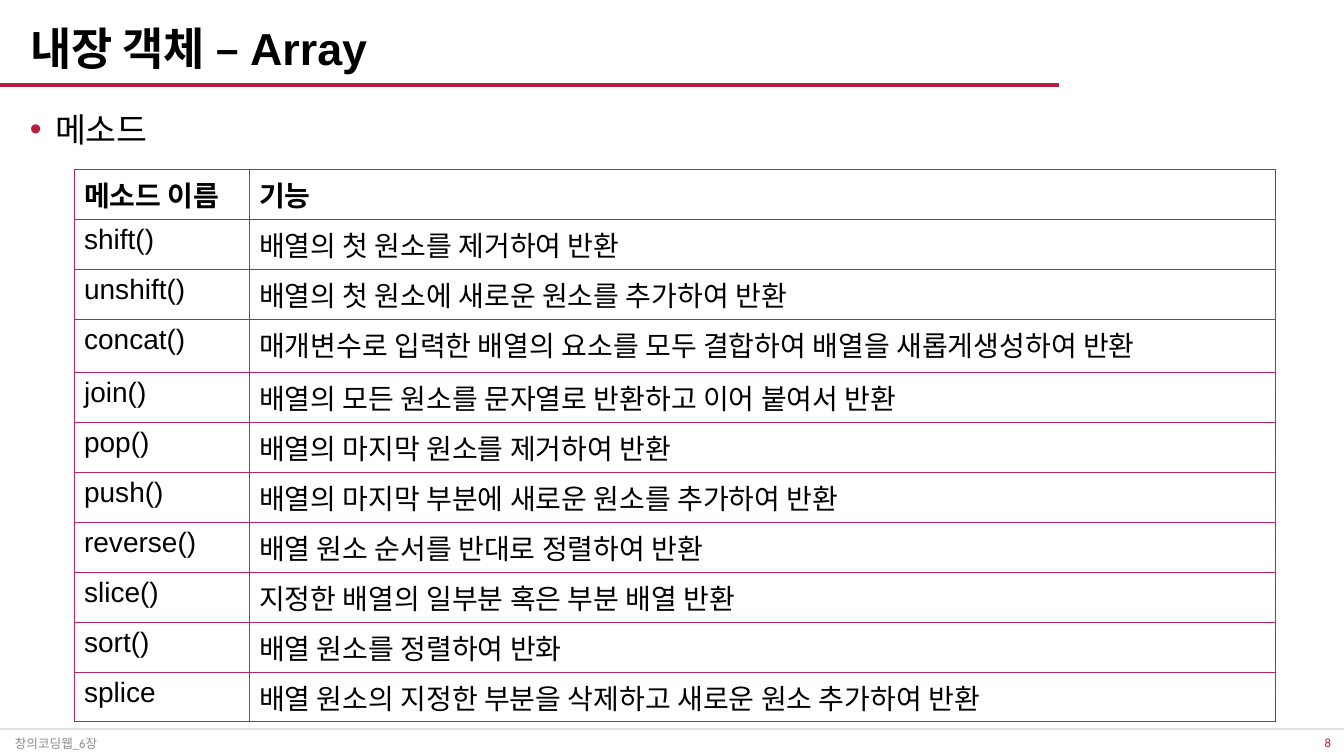
import pptx
import pptx.util
import pptx.dml.color
import pptx.enum.shapes
import pptx.enum.text
import pptx.oxml
import pptx.oxml.ns
import lxml.etree

SCALE = 914400 / 100.8
COLORS = {"black": "000000", "rule": "000001", "red": "B71E42", "gray": "8C8C8C", "border": "BA2169"}
ANCHOR = pptx.enum.text.MSO_ANCHOR
ALIGN = pptx.enum.text.PP_ALIGN
METHODS = [
    ("메소드 이름", "기능"),
    ("shift()", "배열의 첫 원소를 제거하여 반환"),
    ("unshift()", "배열의 첫 원소에 새로운 원소를 추가하여 반환"),
    ("concat()", "매개변수로 입력한 배열의 요소를 모두 결합하여 배열을 새롭게생성하여 반환"),
    ("join()", "배열의 모든 원소를 문자열로 반환하고 이어 붙여서 반환"),
    ("pop()", "배열의 마지막 원소를 제거하여 반환"),
    ("push()", "배열의 마지막 부분에 새로운 원소를 추가하여 반환"),
    ("reverse()", "배열 원소 순서를 반대로 정렬하여 반환"),
    ("slice()", "지정한 배열의 일부분 혹은 부분 배열 반환"),
    ("sort()", "배열 원소를 정렬하여 반화"),
    ("splice", "배열 원소의 지정한 부분을 삭제하고 새로운 원소 추가하여 반환"),
]


def px(*lengths):
    return [pptx.util.Emu(round(length * SCALE)) for length in lengths]


def style(font, size, name, color, bold=False):
    font.size = pptx.util.Pt(size)
    font.name = name
    font.bold = bold
    font.color.rgb = pptx.dml.color.RGBColor.from_string(COLORS[color])


deck = pptx.Presentation()
deck.slide_width, deck.slide_height = px(1344, 756)
page = deck.slides.add_slide(deck.slide_layouts[5])

for y, right, color, width, alpha in [(729, 1344, "rule", 1, 20), (85, 1059, "red", 2.5, 100)]:
    rule = page.shapes.add_connector(pptx.enum.shapes.MSO_CONNECTOR.STRAIGHT, *px(0, y, right, y))
    rule.line.width = pptx.util.Pt(width)
    rule.line.color.rgb = pptx.dml.color.RGBColor.from_string(COLORS[color])
    lxml.etree.SubElement(rule.element.spPr, pptx.oxml.ns.qn("a:effectLst"))
    if alpha < 100:
        tint = rule.element.spPr.find(".//" + pptx.oxml.ns.qn("a:srgbClr"))
        lxml.etree.SubElement(tint, pptx.oxml.ns.qn("a:alpha"), val=str(alpha * 1000))

title = page.shapes.title
title.left, title.top, title.width, title.height = px(20, 15, 1058, 65)
title.text_frame.text = "내장 객체 – "
title.text_frame.word_wrap = True
title.text_frame.auto_size = pptx.enum.text.MSO_AUTO_SIZE.NONE
title.text_frame.vertical_anchor = ANCHOR.BOTTOM
para = title.text_frame.paragraphs[0]
para.alignment = ALIGN.LEFT
para.line_spacing = 0.9
para.add_run().text = "Array"
for span, name in zip(para.runs, ["Calibri", "Arial"]):
    style(span.font, 32, name, "black", True)

for text, bounds, size, color, align, anchor in [
    ("메소드", (20, 96, 1308, 620), 24, "black", ALIGN.LEFT, ANCHOR.TOP),
    ("8", (1251, 732, 90, 22), 9, "red", ALIGN.RIGHT, ANCHOR.MIDDLE),
    ("창의코딩웹_6장", (5, 733, 454, 21), 9, "gray", ALIGN.LEFT, ANCHOR.MIDDLE),
]:
    box = page.shapes.add_textbox(*px(*bounds))
    box.text_frame.text = text
    box.text_frame.word_wrap = True
    box.text_frame.vertical_anchor = anchor
    para = box.text_frame.paragraphs[0]
    para.alignment = align
    if text == "메소드":
        para.line_spacing = 1.2
        props = para._p.get_or_add_pPr()
        props.set("marL", "228600")
        props.set("indent", "-228600")
        bullet_color = lxml.etree.SubElement(props, pptx.oxml.ns.qn("a:buClr"))
        lxml.etree.SubElement(bullet_color, pptx.oxml.ns.qn("a:srgbClr"), val=COLORS["red"])
        lxml.etree.SubElement(props, pptx.oxml.ns.qn("a:buFont"), typeface="Arial")
        lxml.etree.SubElement(props, pptx.oxml.ns.qn("a:buChar"), char="•")
    style(para.runs[0].font, size, "Calibri", color)

table = page.shapes.add_table(len(METHODS), 2, *px(74, 169, 1201, 553)).table
table.first_row = False
table.horz_banding = False
for column, width in zip(table.columns, px(175, 1026)):
    column.width = width
for row, entry in zip(table.rows, METHODS):
    row.height = px(53 if entry[0] == "concat()" else 50)[0]
    for cell, text in zip(row.cells, entry):
        cell.text = text
        style(cell.text_frame.paragraphs[0].runs[0].font, 20, "Arial", "black", entry == METHODS[0])
        for side in ["lnL", "lnR", "lnT", "lnB"]:
            border = lxml.etree.SubElement(cell._tc.get_or_add_tcPr(), pptx.oxml.ns.qn("a:" + side), w="3175")
            paint = lxml.etree.SubElement(border, pptx.oxml.ns.qn("a:solidFill"))
            lxml.etree.SubElement(paint, pptx.oxml.ns.qn("a:srgbClr"), val=COLORS["border"])
        cell.fill.background()

deck.save("out.pptx")
